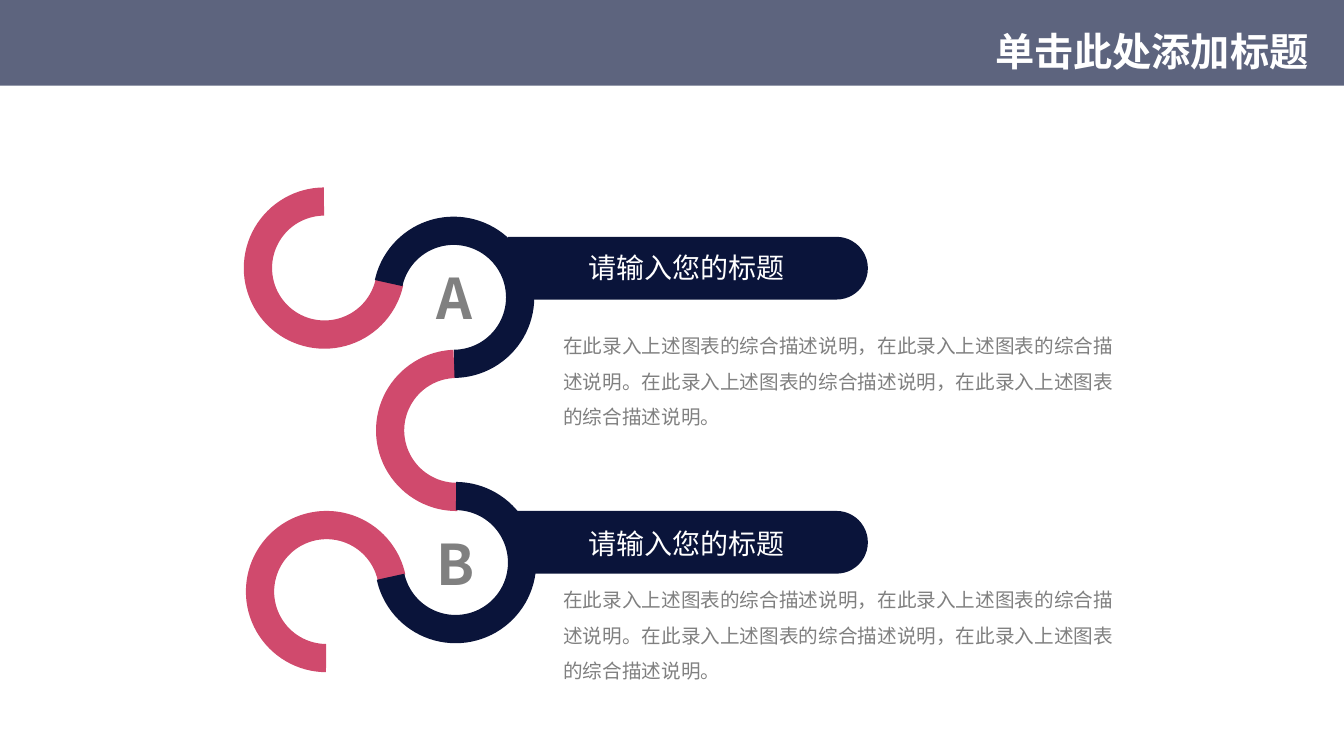
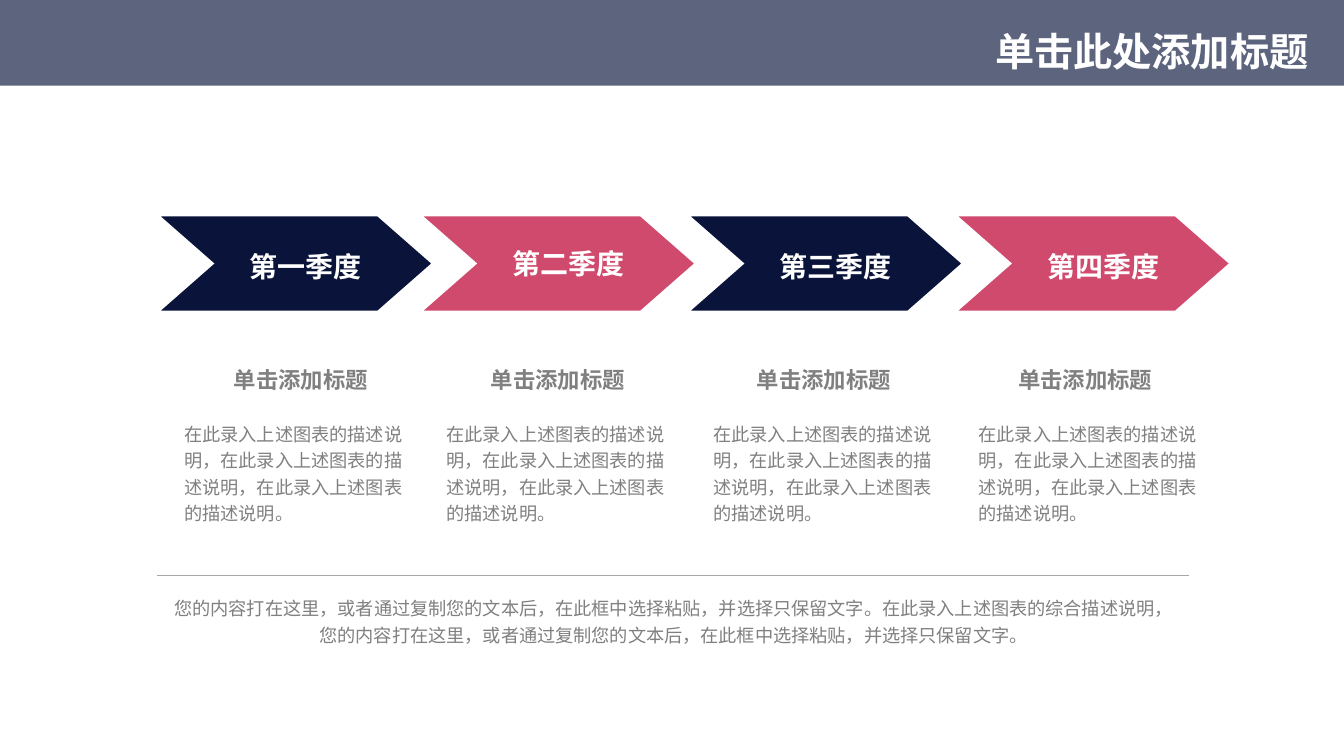
import lxml.etree
import pptx
import pptx.dml.color
import pptx.enum.shapes
import pptx.enum.text
import pptx.oxml.ns
import pptx.util

Pt = pptx.util.Pt
qn = pptx.oxml.ns.qn
KIND = pptx.enum.shapes.MSO_SHAPE
ALIGN = pptx.enum.text.PP_ALIGN

WIDE, HIGH = 960, 540
HUES = {"navy": "0A143A", "rose": "D04A6D", "band": "5D647E",
        "grey": "808080", "rule": "A6A6A6", "white": "FFFFFF"}
SANS = "Noto Sans CJK SC"

TITLE = "单击此处添加标题"
LABEL = "请输入您的标题"
DETAIL = ("在此录入上述图表的综合描述说明，在此录入上述图表的综合描述说明。"
          "在此录入上述图表的综合描述说明，在此录入上述图表的综合描述说明。")
HEAD = "单击添加标题"
BRIEF = "在此录入上述图表的描述说明，在此录入上述图表的描述说明，在此录入上述图表的描述说明。"
NOTE = ("您的内容打在这里，或者通过复制您的文本后，在此框中选择粘贴，并选择只保留文字。"
        "在此录入上述图表的综合描述说明，"
        "您的内容打在这里，或者通过复制您的文本后，在此框中选择粘贴，并选择只保留文字。")

ITEMS = [
    {"mark": "A", "bar": 169.2, "label": 175.4, "letter": 184.7, "body": 226.8},
    {"mark": "B", "bar": 365, "label": 372.4, "letter": 374.8, "body": 408},
]
ARCS = [
    (174.2, 133.9, 0, True, 90.4, "rose"),
    (266.4, 154.8, 180, True, 90.4, "navy"),
    (268.6, 249.8, 77.2, True, 169.48, "rose"),
    (175.7, 365, 0, False, 90.4, "rose"),
    (267.8, 344.2, 180, False, 90.4, "navy"),
]
ARC_END = 347.68
STEPS = [
    ("第一季度", "navy", 109.5, 4, 215, 124.6),
    ("第二季度", "rose", 297.2, 0, 398.6, 311.8),
    ("第三季度", "navy", 488.1, 4, 588.6, 502.6),
    ("第四季度", "rose", 679.2, 4, 775.2, 691.9),
]


def tint(name):
    return pptx.dml.color.RGBColor.from_string(HUES[name])


def write(frame, text, size, hue, pitch, face=SANS, bold=False, align=ALIGN.LEFT):
    frame.word_wrap = True
    para = frame.paragraphs[0]
    para.alignment = align
    para.line_spacing = Pt(pitch)
    run = para.add_run()
    run.text = text
    font = run.font
    font.size, font.bold, font.name = Pt(size), bold, face
    font.color.rgb = tint(hue)
    east = lxml.etree.SubElement(run._r.get_or_add_rPr(), qn("a:ea"))
    east.set("typeface", SANS)


def label(slide, box, *args, **style):
    frame = slide.shapes.add_textbox(*map(Pt, box)).text_frame
    write(frame, *args, **style)


def block(slide, kind, box, hue):
    shape = slide.shapes.add_shape(kind, *map(Pt, box))
    shape.shadow.inherit = False
    shape.fill.solid()
    shape.fill.fore_color.rgb = tint(hue)
    shape.line.fill.background()
    return shape


def start(deck, layout):
    slide = deck.slides.add_slide(layout)
    frame = slide.shapes.title.text_frame
    frame.auto_size = pptx.enum.text.MSO_AUTO_SIZE.NONE
    frame.vertical_anchor = pptx.enum.text.MSO_ANCHOR.MIDDLE
    write(frame, TITLE, 28, "white", 29, face="Montserrat", bold=True, align=ALIGN.RIGHT)
    return slide


def share(layout, slide):
    band = block(slide, KIND.RECTANGLE, (0, 0, WIDE, 61.2), "band")
    layout.shapes.element.insert(2, band.element)


def draw_bar(slide, top):
    left, wide, high = 362.9, 257, 44.8
    box = (left + (wide - high) / 2, top - (wide - high) / 2, high, wide)
    bar = block(slide, KIND.ROUND_2_SAME_RECTANGLE, box, "navy")
    bar.rotation = 90
    bar.adjustments[0] = 0.5


def draw_arc(slide, left, top, turn, flip, begin, hue):
    arc = block(slide, KIND.BLOCK_ARC, (left, top, 115.2, 115.2), hue)
    for slot, value in enumerate((begin * 0.6, ARC_END * 0.6, 0.175)):
        arc.adjustments[slot] = value
    arc.rotation = turn
    if flip:
        arc.element.spPr.xfrm.set("flipV", "1")


def draw_chain(slide):
    for item in ITEMS:
        draw_bar(slide, item["bar"])
    for arc in ARCS:
        draw_arc(slide, *arc)
    for item in ITEMS:
        label(slide, (413.3, item["label"], 170, 31.7), LABEL, 20, "white", 24.2)
        label(slide, (304.6, item["letter"], 60, 55.4), item["mark"], 40, "grey", 48.2, bold=True)
        label(slide, (395.3, item["body"], 407.5, 83.5), DETAIL, 14, "grey", 25.3, face="Arial")


def draw_steps(slide):
    for name, hue, left, drop, mid, text in STEPS:
        arrow = block(slide, KIND.CHEVRON, (left, 152.6, 201.6, 71.3), hue)
        arrow.adjustments[0] = 0.57
        arrow.line.color.rgb = tint("white")
        arrow.line.width = Pt(4)
        join = lxml.etree.SubElement(arrow.element.spPr.get_or_add_ln(), qn("a:miter"))
        join.set("lim", "800000")
        frame = arrow.text_frame
        frame.margin_left, frame.margin_top = Pt(16), Pt(drop)
        frame.margin_right = frame.margin_bottom = 0
        frame.vertical_anchor = pptx.enum.text.MSO_ANCHOR.MIDDLE
        write(frame, name, 20, "white", 24.2, face="Arial", bold=True, align=ALIGN.CENTER)
        label(slide, (mid - 65, 258, 130, 26.6), HEAD, 16, "grey", 19.4,
              bold=True, align=ALIGN.CENTER)
        label(slide, (text, 295.6, 176, 85), BRIEF, 13, "grey", 18.8)
    rule = slide.shapes.add_connector(
        pptx.enum.shapes.MSO_CONNECTOR.STRAIGHT, *map(Pt, (112.3, 411, 849.6, 411)))
    rule.line.color.rgb = tint("rule")
    rule.line.width = Pt(0.5)
    lxml.etree.SubElement(rule.element.spPr, qn("a:effectLst"))
    label(slide, (111.6, 420.2, 738.7, 46), NOTE, 13, "grey", 18.8, align=ALIGN.CENTER)


def main():
    deck = pptx.Presentation()
    deck.slide_width, deck.slide_height = Pt(WIDE), Pt(HIGH)
    layout = deck.slide_layouts[5]
    head = layout.placeholders[0]
    head.left, head.top, head.width, head.height = map(Pt, (113.8, 15.8, 828, 45.4))
    for spot, draw in enumerate((draw_chain, draw_steps)):
        slide = start(deck, layout)
        if spot == 0:
            share(layout, slide)
        draw(slide)
    deck.save("out.pptx")


if __name__ == "__main__":
    main()
